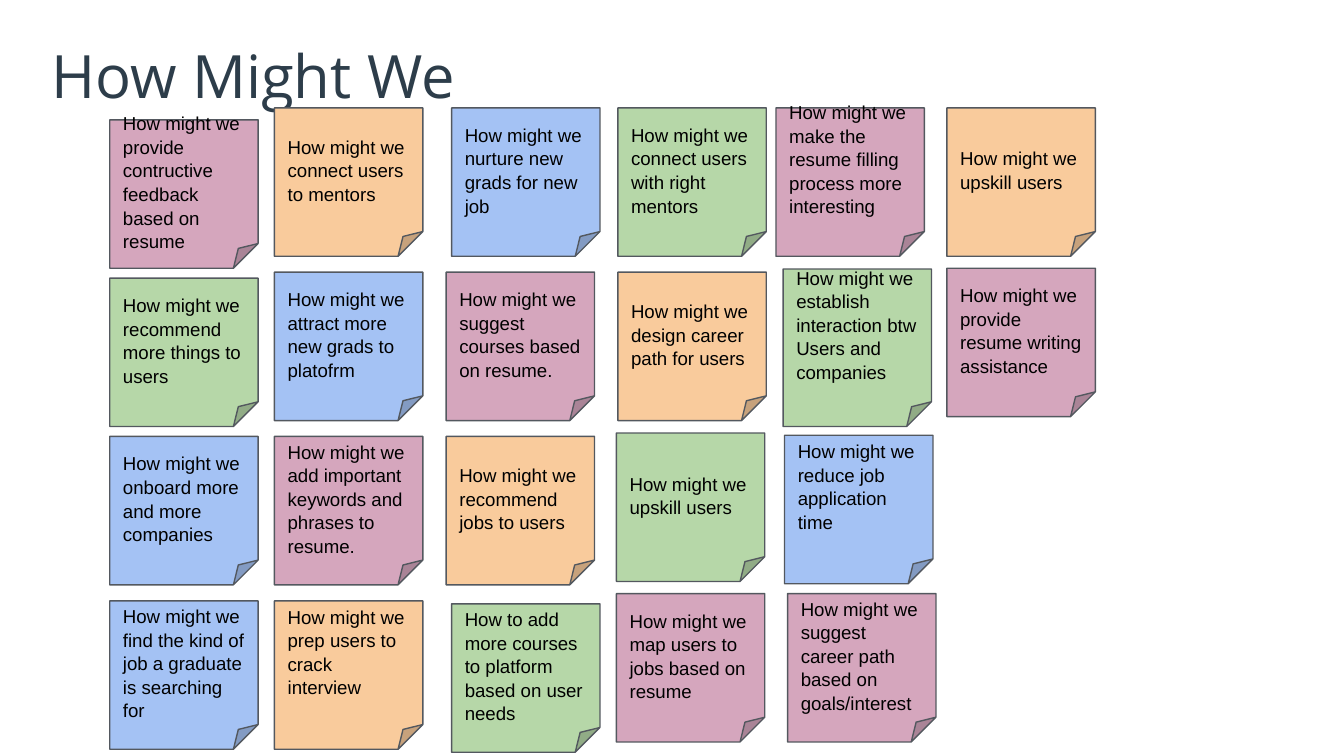
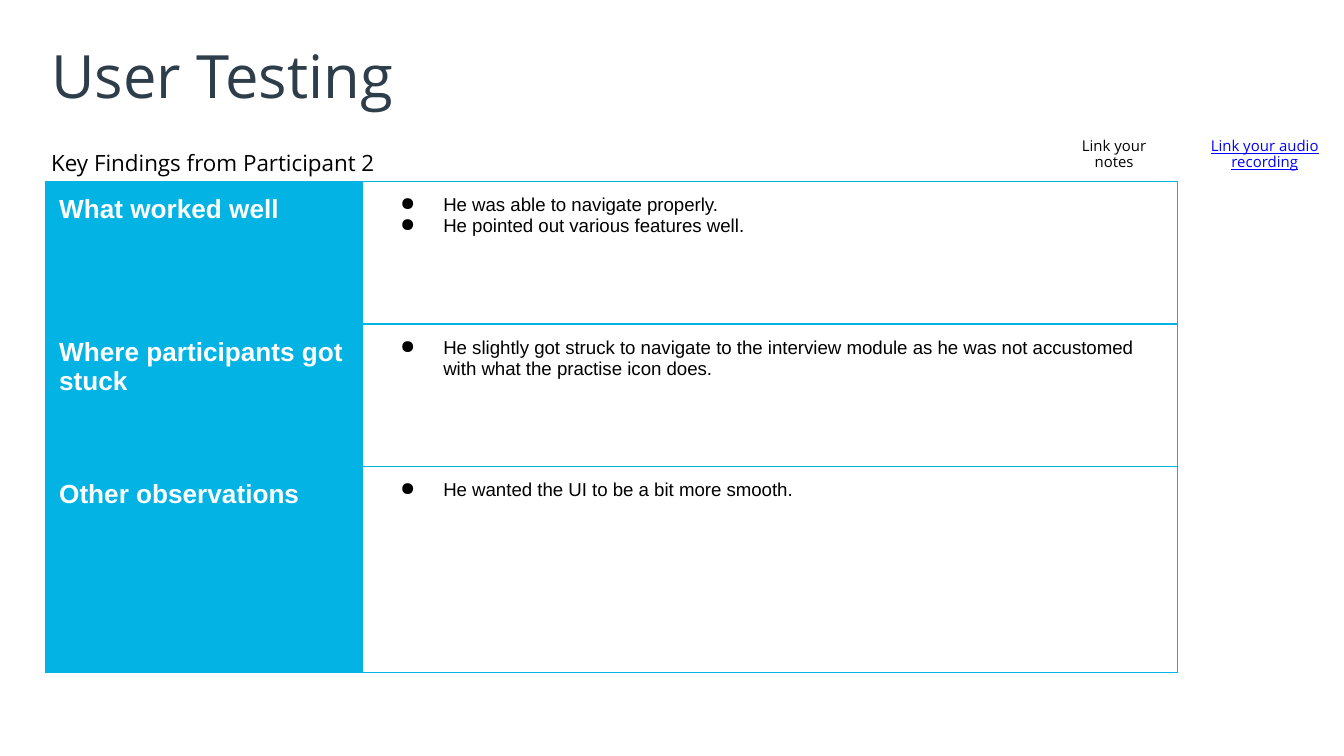
from lxml.etree import SubElement
from pptx import Presentation
from pptx.dml.color import RGBColor
from pptx.enum.shapes import MSO_SHAPE
from pptx.enum.text import MSO_ANCHOR, PP_ALIGN
from pptx.oxml.ns import qn
from pptx.util import Pt

SLATE = RGBColor(0x2D, 0x3D, 0x4A)
BLACK = RGBColor(0x00, 0x00, 0x00)
WHITE = RGBColor(0xFF, 0xFF, 0xFF)
LINK_BLUE = RGBColor(0x00, 0x00, 0xFF)
CYAN = RGBColor(0x02, 0xB3, 0xE4)
OUTLINE = RGBColor(0x53, 0x58, 0x5F)
BLUE = RGBColor(0xA4, 0xC2, 0xF4)
ORANGE = RGBColor(0xF9, 0xCB, 0x9C)
GREEN = RGBColor(0xB6, 0xD7, 0xA8)
PINK = RGBColor(0xD5, 0xA6, 0xBD)

TITLE_FONT = {"name": "Open Sans", "size": Pt(32), "color": SLATE}
SUBTITLE_FONT = {"name": "Open Sans", "size": Pt(12), "color": BLACK}
CAPTION_FONT = {"name": "Open Sans", "size": Pt(8), "color": BLACK}
LINK_FONT = {**CAPTION_FONT, "color": LINK_BLUE, "underline": True}
NOTE_FONT = {"name": "Arial", "size": Pt(10), "color": BLACK}
FINDING_FONT = {**NOTE_FONT, "bold": False}
HEADING_FONT = {"name": "Arial", "size": Pt(14), "color": WHITE, "bold": True}

LEFT = {"alignment": PP_ALIGN.LEFT}
CENTRE = {"alignment": PP_ALIGN.CENTER, "line_spacing": 0.9}
SUBTITLE_PARAGRAPH = {**LEFT, "line_spacing": 1.15, "space_before": Pt(7)}
NOTE_PARAGRAPH = {**LEFT, "line_spacing": 1.05}

TITLE_BOX = (24.5, 17.3, 671, 45.4)
SUBTITLE_BOX = (24.5, 72.7, 671, 24.5)
NOTES_LINK_BOX = (557.3, 67, 79.2, 34.6)
AUDIO_LINK_BOX = (638, 67, 79.2, 34.6)
TABLE_BOX = (24.5, 97.3, 606.5, 263.2)
BOARD_BOX = (58.8, 57.8, 528, 345.3)

NOTE_SIZE = 79.5
TALL_NOTE_SIZE = 84.4
BLANK_LINE = 12
RAISED = {
    "How might we make the resume filling process more interesting",
    "How might we establish interaction btw\nUsers and companies",
    "How might we reduce job application time",
    "How might we prep users to crack interview",
}
NOTES = [
    (0, 6.4, PINK, "How might we provide contructive feedback based on resume"),
    (88.2, 0, ORANGE, "How might we connect users to mentors"),
    (183.1, 0, BLUE, "How might we nurture new grads for new job"),
    (272.2, 0, GREEN, "How might we connect users with right mentors"),
    (356.9, 0, PINK, "How might we make the resume filling process more interesting"),
    (448.5, 0, ORANGE, "How might we upskill users"),
    (0, 91.2, GREEN, "How might we recommend more things to users"),
    (88.2, 88, BLUE, "How might we attract more new grads to platofrm"),
    (180.2, 88, PINK, "How might we suggest courses based on resume."),
    (272.2, 88, ORANGE, "How might we design career path for users"),
    (360.7, 86.3, GREEN, "How might we establish interaction btw\nUsers and companies"),
    (448.5, 85.9, PINK, "How might we provide resume writing assistance"),
    (0, 176, BLUE, "How might we onboard more and more companies"),
    (88.2, 176, PINK, "How might we add important keywords and phrases to resume."),
    (180.2, 176, ORANGE, "How might we recommend jobs to users"),
    (271.4, 174.2, GREEN, "How might we upskill users"),
    (361.5, 175.4, BLUE, "How might we reduce job application time"),
    (0, 264.1, BLUE, "How might we find the kind of job a graduate is searching for"),
    (88.2, 264.1, ORANGE, "How might we prep users to crack interview"),
    (183.1, 265.7, GREEN, "How to add more courses to platform based on user needs"),
    (271.4, 260.2, PINK, "How might we map users to jobs based on resume"),
    (363.1, 260.2, PINK, "How might we suggest career path based on goals/interest"),
]

COLUMN_SHARES = (0.28, 0.72)
ROW_SHARES = (0.29, 0.29, 0.42)
FINDINGS = [
    ("What worked well",
     "He was able to navigate properly.\nHe pointed out various features well."),
    ("Where participants got stuck",
     "He slightly got struck to navigate to the interview module as he was not "
     "accustomed with what the practise icon does."),
    ("Other observations", "He wanted the UI to be a bit more smooth."),
]


def apply_format(target, values):
    """Set each attribute of the target, with colours set on its colour format."""
    for name, value in values.items():
        if name == "color":
            target.color.rgb = value
        else:
            setattr(target, name, value)


def write_text(frame, text, font, paragraph_format):
    """Write one formatted paragraph for each line of the text."""
    for index, line in enumerate(text.split("\n")):
        paragraph = frame.add_paragraph() if index else frame.paragraphs[0]
        apply_format(paragraph, paragraph_format)
        run = paragraph.add_run()
        run.text = line
        apply_format(run.font, font)


def set_insets(target, inset):
    """Give the text frame or cell the same margin on all sides."""
    sides = ("left", "top", "right", "bottom")
    apply_format(target, {f"margin_{side}": Pt(inset) for side in sides})


def place(shape, box):
    """Move and size the shape to the box."""
    names = ("left", "top", "width", "height")
    apply_format(shape, dict(zip(names, map(Pt, box))))


def fill_placeholder(shape, box, text, font, paragraph_format, anchor):
    """Place a template placeholder and write its text."""
    place(shape, box)
    frame = shape.text_frame
    set_insets(frame, 2.9)
    apply_format(frame, {"word_wrap": True, "vertical_anchor": anchor})
    write_text(frame, text, font, paragraph_format)


def add_titled_slide(presentation, layout_index, title):
    """Add a slide with the shared title style."""
    slide = presentation.slides.add_slide(presentation.slide_layouts[layout_index])
    fill_placeholder(slide.shapes.title, TITLE_BOX, title, TITLE_FONT, LEFT,
                     MSO_ANCHOR.MIDDLE)
    return slide


def add_note(slide, box, colour, text):
    """Add a sticky note with a folded corner."""
    note = slide.shapes.add_shape(MSO_SHAPE.FOLDED_CORNER, *map(Pt, box))
    note.shadow.inherit = False
    note.fill.solid()
    note.fill.fore_color.rgb = colour
    apply_format(note.line, {"color": OUTLINE, "width": Pt(0.75)})
    frame = note.text_frame
    set_insets(frame, 7.2)
    apply_format(frame, {"word_wrap": True, "vertical_anchor": MSO_ANCHOR.MIDDLE})
    if text in RAISED:
        frame.margin_bottom += Pt(BLANK_LINE)
    write_text(frame, text, NOTE_FONT, NOTE_PARAGRAPH)


def add_board(slide, box):
    """Lay out all sticky notes relative to the board's corner."""
    for left, top, colour, text in NOTES:
        height = TALL_NOTE_SIZE if "\n" in text else NOTE_SIZE
        add_note(slide, (box[0] + left, box[1] + top, NOTE_SIZE, height), colour, text)


def add_caption(slide, box, text, font):
    """Add a small centred text box."""
    frame = slide.shapes.add_textbox(*map(Pt, box)).text_frame
    frame.word_wrap = True
    set_insets(frame, 7.2)
    write_text(frame, text, font, CENTRE)


def set_bullet(paragraph, character):
    """Give the paragraph a hanging bullet, or none if there is no character."""
    properties = paragraph._p.get_or_add_pPr()
    properties.set("marL", str(Pt(36 if character else 0)))
    properties.set("indent", str(Pt(-23 if character else 0)))
    if character:
        colour = SubElement(properties, qn("a:buClr"))
        SubElement(colour, qn("a:srgbClr"), val=str(BLACK))
        SubElement(properties, qn("a:buChar"), char=character)
    else:
        SubElement(properties, qn("a:buNone"))


def set_borders(cell, colour, width):
    """Draw a solid line on every side of the cell."""
    properties = cell._tc.get_or_add_tcPr()
    for index, side in enumerate(("lnL", "lnR", "lnT", "lnB")):
        line = properties.makeelement(qn(f"a:{side}"), {"w": str(Pt(width))})
        fill = SubElement(line, qn("a:solidFill"))
        SubElement(fill, qn("a:srgbClr"), val=str(colour))
        properties.insert(index, line)


def fill_cell(cell, text, font, colour=None):
    """Write a bordered cell, filled when a colour is given."""
    set_insets(cell, 7.2)
    write_text(cell.text_frame, text, font, LEFT)
    if colour is None:
        cell.fill.background()
    else:
        cell.fill.solid()
        cell.fill.fore_color.rgb = colour
    set_borders(cell, CYAN, 0.75)


def add_findings_table(slide, box):
    """Add the table of headings and bulleted findings."""
    table = slide.shapes.add_table(len(FINDINGS), 2, *map(Pt, box)).table
    apply_format(table, {"first_row": False, "horz_banding": False})
    for column, share in zip(table.columns, COLUMN_SHARES):
        column.width = Pt(box[2] * share)
    for row, share, (heading, findings) in zip(table.rows, ROW_SHARES, FINDINGS):
        row.height = Pt(box[3] * share)
        heading_cell, findings_cell = row.cells
        fill_cell(heading_cell, heading, HEADING_FONT, CYAN)
        fill_cell(findings_cell, findings, FINDING_FONT)
        for paragraph in findings_cell.text_frame.paragraphs:
            set_bullet(paragraph, "●")


def build_questions_slide(presentation):
    """Build the slide of sticky notes."""
    slide = add_titled_slide(presentation, 5, "How Might We")
    add_board(slide, BOARD_BOX)


def build_testing_slide(presentation):
    """Build the slide of user testing findings."""
    slide = add_titled_slide(presentation, 1, "User Testing")
    subtitle = slide.placeholders[1]
    fill_placeholder(subtitle, SUBTITLE_BOX, "Key Findings from Participant 2",
                     SUBTITLE_FONT, SUBTITLE_PARAGRAPH, MSO_ANCHOR.BOTTOM)
    set_bullet(subtitle.text_frame.paragraphs[0], None)
    add_caption(slide, AUDIO_LINK_BOX, "Link your audio recording", LINK_FONT)
    add_caption(slide, NOTES_LINK_BOX, "Link your\nnotes", CAPTION_FONT)
    add_findings_table(slide, TABLE_BOX)


def main():
    """Build and save the presentation."""
    presentation = Presentation()
    apply_format(presentation, {"slide_width": Pt(720), "slide_height": Pt(405)})
    build_questions_slide(presentation)
    build_testing_slide(presentation)
    presentation.save("out.pptx")


if __name__ == "__main__":
    main()
